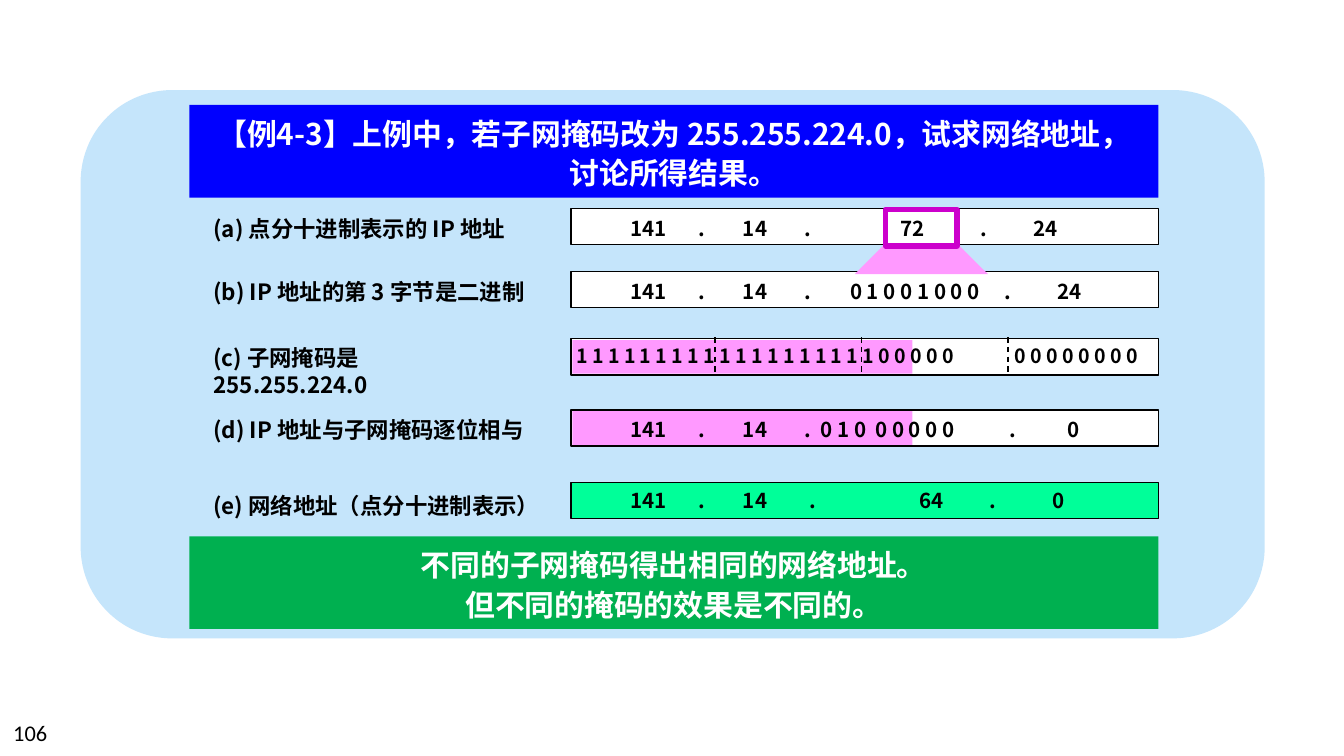
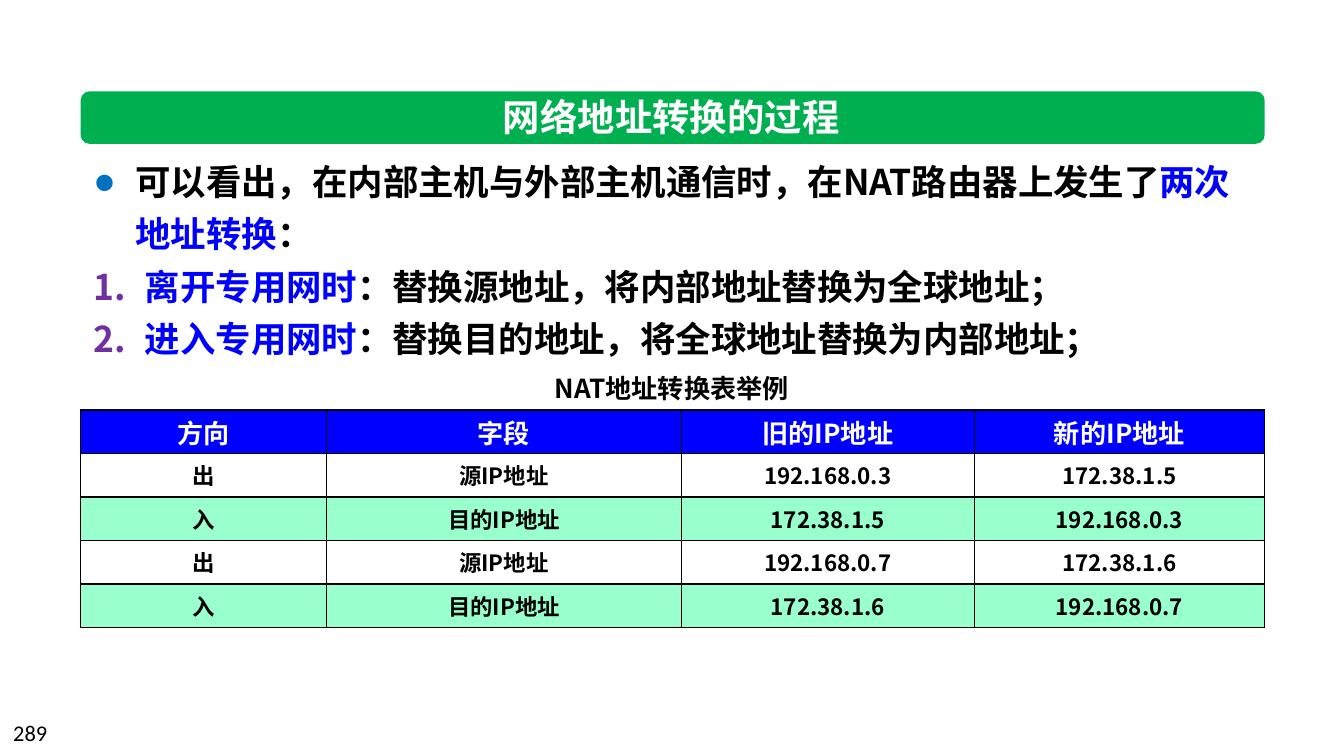
from dataclasses import dataclass

from lxml.etree import SubElement
from pptx import Presentation
from pptx.dml.color import RGBColor
from pptx.enum.dml import MSO_LINE
from pptx.enum.shapes import MSO_CONNECTOR, MSO_SHAPE
from pptx.enum.text import MSO_ANCHOR, MSO_AUTO_SIZE, PP_ALIGN
from pptx.oxml.ns import qn
from pptx.util import Inches, Pt

FONT, PLAIN_FONT = "Noto Sans CJK SC", "Calibri"
BLACK, WHITE = "000000", "FFFFFF"
BLUE, GREEN, PINK = "0000FF", "00B050", "FF99FF"
PANEL, MINT, RESULT, MAGENTA = "C5E5FB", "99FFCC", "00FF99", "CC00CC"
BULLET_BLUE, NUMBER_PURPLE = "0070C0", "7030A0"
PANEL_LEFT, PANEL_WIDTH = 0.6, 8.81
BAND_LEFT, BAND_WIDTH, BAND_HEIGHT = 1.41, 7.21, 0.69
BAR_LEFT, BAR_WIDTH, BAR_HEIGHT = 4.25, 4.37, 0.27
INSET = 0.1


@dataclass(frozen=True)
class Field:
    text: str
    center: float


@dataclass(frozen=True)
class AddressRow:
    """One bar: the first text starts at the left, the fields centre on tab stops."""
    label: str
    top: float
    label_top: float
    text_top: float
    first: str
    fields: tuple[Field, ...]
    left: float = 4.59
    size: float = 11
    fill: str = WHITE
    label_width: float = 2.8
    network_part: bool = False


@dataclass(frozen=True)
class ListItem:
    runs: tuple[tuple[str, str], ...]
    indent: float
    marker: str
    marker_attributes: dict[str, str]
    marker_color: str
    marker_font: str = FONT


def dotted(*fields: Field, second_dot: float = 6.01) -> tuple[Field, ...]:
    """Fields after 141, beginning with the shared '. 14 .' part."""
    return (Field(".", 5.22), Field("14", 5.62), Field(".", second_dot), *fields)


ADDRESS_ROWS = (
    AddressRow("(a) 点分十进制表示的 IP 地址", 1.55, 1.55, 1.56, "141",
               dotted(Field("72", 6.79), Field(".", 7.32), Field("24", 7.78))),
    AddressRow("(b) IP 地址的第 3 字节是二进制", 2.02, 2.02, 2.03, "141",
               dotted(Field("0 1 0 0 1 0 0 0", 6.81), Field(".", 7.5), Field("24", 7.96))),
    AddressRow("(c) 子网掩码是 255.255.224.0", 2.52, 2.51, 2.51, " ".join("1" * 19 + "0" * 5),
               (Field("0 0 0 0 0 0 0 0", 8.01),),
               left=4.19, size=10.5, label_width=2.0, network_part=True),
    AddressRow("(d) IP 地址与子网掩码逐位相与", 3.05, 3.05, 3.05, "141",
               dotted(Field("0 1 0", 6.28), Field("0 0 0 0 0", 6.81),
                      Field(".", 7.54), Field("0", 7.99)), network_part=True),
    AddressRow("(e) 网络地址（点分十进制表示）", 3.59, 3.61, 3.58, "141",
               dotted(Field("64", 6.93), Field(".", 7.39), Field("0", 7.88), second_dot=6.05),
               fill=RESULT),
)

LIST_ITEMS = (
    ListItem((("可以看出，在内部主机与外部主机通信时，在NAT路由器上发生了", BLACK),
              ("两次地址转换", BLUE), ("：", BLACK)),
             0.31, "a:buChar", {"char": "●"}, BULLET_BLUE, PLAIN_FONT),
    ListItem((("离开专用网时", BLUE), ("：替换源地址，将内部地址替换为全球地址；", BLACK)),
             0.38, "a:buAutoNum", {"type": "arabicPeriod"}, NUMBER_PURPLE),
    ListItem((("进入专用网时", BLUE), ("：替换目的地址，将全球地址替换为内部地址；", BLACK)),
             0.38, "a:buAutoNum", {"type": "arabicPeriod"}, NUMBER_PURPLE),
)

NAT_TABLE = (
    ("方向", "字段", "旧的IP地址", "新的IP地址"),
    ("出", "源IP地址", "192.168.0.3", "172.38.1.5"),
    ("入", "目的IP地址", "172.38.1.5", "192.168.0.3"),
    ("出", "源IP地址", "192.168.0.7", "172.38.1.6"),
    ("入", "目的IP地址", "172.38.1.6", "192.168.0.7"),
)
COLUMN_WIDTHS = (1.83, 2.64, 2.18, 2.16)
TABLE_HEIGHT = 1.62


def rgb(color: str) -> RGBColor:
    return RGBColor.from_string(color)


def add_run(paragraph, text: str, size: float, color: str = BLACK,
            bold: bool = True, font: str = FONT) -> None:
    run = paragraph.add_run()
    run.text = text
    run.font.size = Pt(size)
    run.font.bold = bold
    run.font.color.rgb = rgb(color)
    run.font.name = font
    SubElement(run.font._element, qn("a:ea"), typeface=font)


def add_box(slide, left: float, top: float, width: float, height: float,
            fill: str | None = None, line: str | None = None, line_width: float = 0.75,
            kind=MSO_SHAPE.RECTANGLE):
    shape = slide.shapes.add_shape(kind, Inches(left), Inches(top), Inches(width), Inches(height))
    style_shape(shape, fill, line, line_width)
    return shape


def style_shape(shape, fill: str | None, line: str | None = None, line_width: float = 0.75) -> None:
    shape.shadow.inherit = False
    if fill:
        shape.fill.solid()
        shape.fill.fore_color.rgb = rgb(fill)
    else:
        shape.fill.background()
    if line:
        shape.line.color.rgb = rgb(line)
        shape.line.width = Pt(line_width)
    else:
        shape.line.fill.background()


def add_text_frame(slide, left: float, top: float, width: float, height: float):
    frame = slide.shapes.add_textbox(Inches(left), Inches(top),
                                     Inches(width), Inches(height)).text_frame
    frame.word_wrap = True
    return frame


def write_centered(frame, lines: tuple[str, ...], size: float, color: str,
                   spacing: float = 1.0) -> None:
    frame.word_wrap = True
    frame.vertical_anchor = MSO_ANCHOR.MIDDLE
    for index, line in enumerate(lines):
        paragraph = frame.add_paragraph() if index else frame.paragraphs[0]
        paragraph.alignment = PP_ALIGN.CENTER
        paragraph.line_spacing = spacing
        paragraph.space_before = Pt(0)
        add_run(paragraph, line, size, color)


def place_title(slide, text: str, left: float, top: float, width: float, height: float,
                size: float, spacing: float = 1.0):
    """Format the title placeholder and bring it to the front."""
    title = slide.shapes.title
    title.left, title.top = Inches(left), Inches(top)
    title.width, title.height = Inches(width), Inches(height)
    title.text_frame.auto_size = MSO_AUTO_SIZE.NONE
    write_centered(title.text_frame, (text,), size, WHITE, spacing)
    slide.shapes.element.append(title.element)
    return title


def add_page_number(slide, number: int) -> None:
    frame = add_text_frame(slide, 0, 5.3, 2.33, 0.3)
    add_run(frame.paragraphs[0], str(number), 12, bold=False, font=PLAIN_FONT)


def add_dashed_divider(slide, x: float, top: float) -> None:
    divider = slide.shapes.add_connector(MSO_CONNECTOR.STRAIGHT, Inches(x), Inches(top),
                                         Inches(x), Inches(top + BAR_HEIGHT))
    divider.line.color.rgb = rgb(BLACK)
    divider.line.width = Pt(0.75)
    divider.line.dash_style = MSO_LINE.DASH
    SubElement(divider.element.spPr, qn("a:effectLst"))


def add_magnifier(slide) -> None:
    """Link the third byte in row (a) to its bits in row (b)."""
    points = [(Inches(x), Inches(y)) for x, y in ((6.59, 1.81), (7.12, 1.81), (7.35, 2.04), (6.36, 2.04))]
    builder = slide.shapes.build_freeform(*points[0])
    builder.add_line_segments(points[1:], close=True)
    style_shape(builder.convert_to_shape(), PINK)


def add_address_text(slide, row: AddressRow) -> None:
    label = add_text_frame(slide, 1.49, row.label_top, row.label_width, 0.32)
    add_run(label.paragraphs[0], row.label, 12)

    frame = add_text_frame(slide, row.left, row.text_top, 8.8 - row.left, 0.29)
    paragraph = frame.paragraphs[0]
    tabs = SubElement(paragraph._p.get_or_add_pPr(), qn("a:tabLst"))
    for field in row.fields:
        position = Inches(field.center - row.left - INSET)
        SubElement(tabs, qn("a:tab"), pos=str(position), algn="ctr")
    add_run(paragraph, "\t".join((row.first, *(field.text for field in row.fields))), row.size)


def build_mask_slide(slide) -> None:
    add_box(slide, PANEL_LEFT, 0.67, PANEL_WIDTH, 4.08, PANEL, kind=MSO_SHAPE.ROUNDED_RECTANGLE)
    conclusion = add_box(slide, BAND_LEFT, 3.99, BAND_WIDTH, BAND_HEIGHT, GREEN)
    write_centered(conclusion.text_frame,
                   ("不同的子网掩码得出相同的网络地址。", "但不同的掩码的效果是不同的。"),
                   16, WHITE, 1.1)
    for row in ADDRESS_ROWS:
        add_box(slide, BAR_LEFT, row.top, BAR_WIDTH, BAR_HEIGHT, row.fill, BLACK)
        if row.network_part:
            add_box(slide, BAR_LEFT + 0.01, row.top + 0.01, 2.53, BAR_HEIGHT - 0.02, PINK)
    add_magnifier(slide)
    for x in (5.32, 6.41, 7.5):
        add_dashed_divider(slide, x, 2.51)
    for row in ADDRESS_ROWS:
        add_address_text(slide, row)
    add_box(slide, 6.59, 1.56, 0.53, BAR_HEIGHT, line=MAGENTA, line_width=3)
    title = place_title(slide, "【例4-3】上例中，若子网掩码改为 255.255.224.0，试求网络地址，讨论所得结果。",
                        BAND_LEFT, 0.78, BAND_WIDTH, BAND_HEIGHT, 16, 1.1)
    title.fill.solid()
    title.fill.fore_color.rgb = rgb(BLUE)
    add_page_number(slide, 106)


def add_list(slide) -> None:
    frame = add_text_frame(slide, PANEL_LEFT, 1.07, PANEL_WIDTH, 1.67)
    for index, item in enumerate(LIST_ITEMS):
        paragraph = frame.add_paragraph() if index else frame.paragraphs[0]
        properties = paragraph._p.get_or_add_pPr()
        properties.set("marL", str(Inches(item.indent)))
        properties.set("indent", str(-Inches(item.indent)))
        marker_color = SubElement(properties, qn("a:buClr"))
        SubElement(marker_color, qn("a:srgbClr"), val=item.marker_color)
        SubElement(properties, qn("a:buFont"), typeface=item.marker_font)
        SubElement(properties, qn(item.marker), item.marker_attributes)
        paragraph.line_spacing = Pt(28)
        for text, color in item.runs:
            add_run(paragraph, text, 19, color)


def format_cell(cell, text: str, size: float, color: str, fill: str) -> None:
    properties = cell._tc.get_or_add_tcPr()
    for side in ("L", "R", "T", "B"):
        border = SubElement(properties, qn(f"a:ln{side}"), w=str(Pt(1)))
        SubElement(SubElement(border, qn("a:solidFill")), qn("a:srgbClr"), val=BLACK)
    cell.fill.solid()
    cell.fill.fore_color.rgb = rgb(fill)
    cell.margin_left = cell.margin_right = Inches(0.07)
    cell.margin_top = cell.margin_bottom = 0
    cell.vertical_anchor = MSO_ANCHOR.MIDDLE
    paragraph = cell.text_frame.paragraphs[0]
    paragraph.alignment = PP_ALIGN.CENTER
    add_run(paragraph, text, size, color)


def add_nat_table(slide) -> None:
    table = slide.shapes.add_table(len(NAT_TABLE), len(COLUMN_WIDTHS), Inches(PANEL_LEFT), Inches(3.05),
                                   Inches(PANEL_WIDTH), Inches(TABLE_HEIGHT)).table
    table.first_row = table.horz_banding = False
    for column, width in zip(table.columns, COLUMN_WIDTHS):
        column.width = Inches(width)
    for row_index, texts in enumerate(NAT_TABLE):
        if row_index == 0:
            size, color, fill = 14, WHITE, BLUE
        else:
            size, color, fill = 12, BLACK, WHITE if row_index % 2 else MINT
        for column_index, text in enumerate(texts):
            format_cell(table.cell(row_index, column_index), text, size, color, fill)


def build_nat_slide(slide) -> None:
    add_list(slide)
    add_box(slide, PANEL_LEFT, 0.68, PANEL_WIDTH, 0.39, GREEN, kind=MSO_SHAPE.ROUNDED_RECTANGLE)
    place_title(slide, "网络地址转换的过程", 2.12, 0.65, 5.75, 0.44, 20)
    caption = add_text_frame(slide, 4, 2.72, 2, 0.34)
    write_centered(caption, ("NAT地址转换表举例",), 14, BLACK)
    add_nat_table(slide)
    add_page_number(slide, 289)


def main() -> None:
    presentation = Presentation()
    presentation.slide_width = Inches(10)
    presentation.slide_height = presentation.slide_width * 9 // 16
    title_only = presentation.slide_layouts[5]
    for build in (build_mask_slide, build_nat_slide):
        build(presentation.slides.add_slide(title_only))
    presentation.save("out.pptx")


if __name__ == "__main__":
    main()
